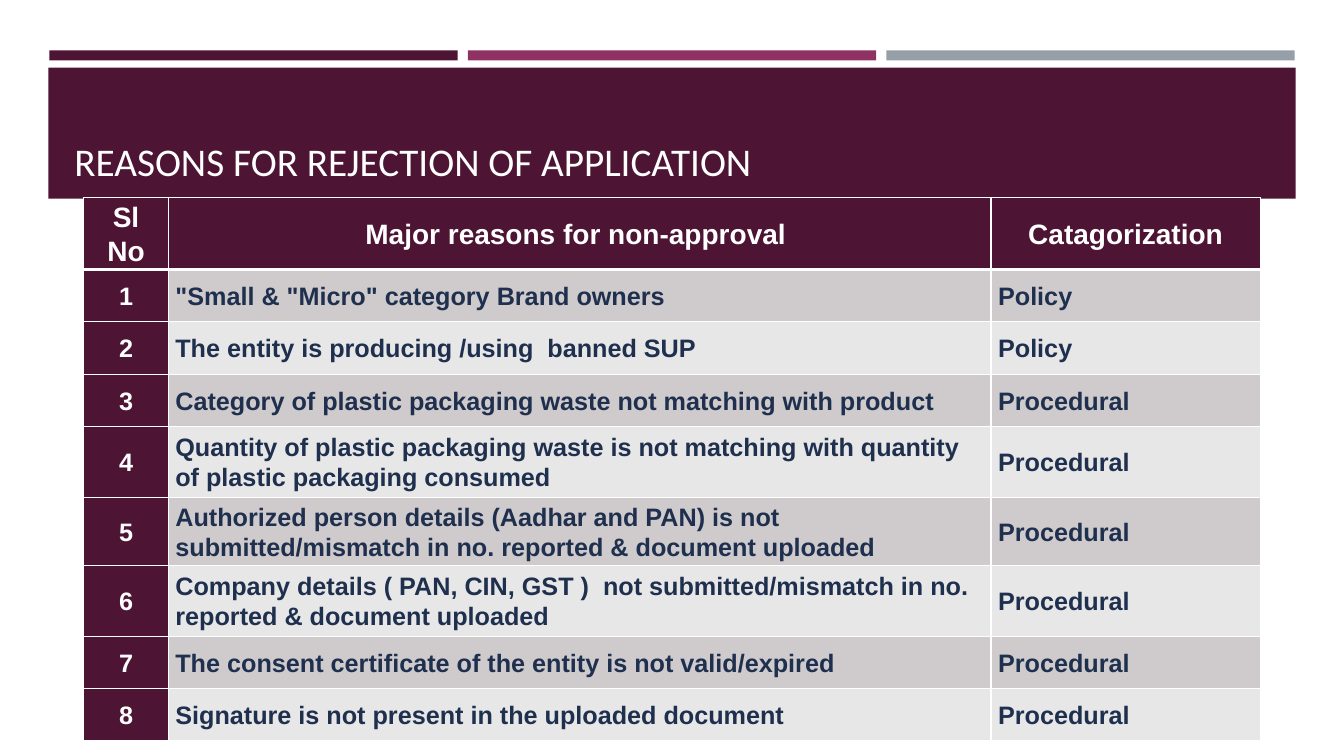
from dataclasses import dataclass

from lxml.etree import SubElement
from pptx import Presentation
from pptx.dml.color import RGBColor as Color
from pptx.enum.shapes import MSO_SHAPE as Shape
from pptx.enum.text import MSO_ANCHOR as Anchor, PP_ALIGN as Align
from pptx.oxml.ns import qn
from pptx.util import Inches, Pt


@dataclass(frozen=True)
class Theme:
    plum: str = "4D1434"
    magenta: str = "903163"
    grey: str = "969FA7"
    white: str = "FFFFFF"
    navy: str = "1F304E"
    bands: tuple = ("CFCACC", "E8E7E7")
    title_font: str = "Calibri"
    table_font: str = "Arial"
    title_size: int = 28
    header_size: int = 20
    body_size: int = 18


THEME = Theme()

HEADERS = ("Sl No", "Major reasons for non-approval ", "Catagorization")
REASONS = (
    ('"Small & "Micro" category Brand owners', "Policy"),
    ("The entity is producing /using  banned SUP", "Policy"),
    ("Category of plastic packaging waste not matching with product", "Procedural"),
    ("Quantity of plastic packaging waste is not matching with quantity "
     "of plastic packaging consumed", "Procedural"),
    ("Authorized person details (Aadhar and PAN) is not submitted/mismatch "
     "in no. reported & document uploaded", "Procedural"),
    ("Company details ( PAN, CIN, GST )  not submitted/mismatch in no. "
     "reported & document uploaded", "Procedural"),
    ("The consent certificate of the entity is not valid/expired", "Procedural"),
    ("Signature is not present in the uploaded document", "Procedural"),
)
COLUMN_WIDTHS = (0.84, 8.16, 2.67)
ROW_HEIGHTS = (0.52, 0.52, 0.52, 0.52, 0.7, 0.68, 0.7, 0.52, 0.52)


def add_bar(page, left, top, width, height, color):
    bar = page.shapes.add_shape(
        Shape.RECTANGLE, Inches(left), Inches(top), Inches(width), Inches(height))
    bar.shadow.inherit = False
    bar.fill.solid()
    bar.fill.fore_color.rgb = Color.from_string(color)
    bar.line.fill.background()


def add_span(para, text, font, size, color, bold=False):
    span = para.add_run()
    span.text = text
    span.font.name = font
    span.font.size = Pt(size)
    span.font.bold = bold
    span.font.color.rgb = Color.from_string(color)


def add_title(page, text):
    box = page.shapes.add_textbox(Inches(0.64), Inches(0.77), Inches(12.06), Inches(1.11))
    frame = box.text_frame
    frame.word_wrap = True
    frame.vertical_anchor = Anchor.BOTTOM
    add_span(frame.paragraphs[0], text, THEME.title_font, THEME.title_size, THEME.white)


def set_borders(cell, top, bottom):
    properties = cell._tc.get_or_add_tcPr()
    for side, width in (("L", 1), ("R", 1), ("T", top), ("B", bottom)):
        line = SubElement(properties, qn(f"a:ln{side}"), w=str(Pt(width)))
        fill = SubElement(line, qn("a:solidFill"))
        SubElement(fill, qn("a:srgbClr"), val=THEME.white)


def fill_cell(cell, text, row, column):
    is_header = row == 0
    is_dark = is_header or column == 0
    # Borders come before the fill in the cell properties
    set_borders(cell, top=3 if row == 1 else 1, bottom=3 if is_header else 1)
    cell.fill.solid()
    cell.fill.fore_color.rgb = Color.from_string(
        THEME.plum if is_dark else THEME.bands[(row - 1) % 2])
    cell.margin_left = cell.margin_right = Inches(0.07)
    cell.margin_top = cell.margin_bottom = 0
    cell.vertical_anchor = Anchor.MIDDLE
    para = cell.text_frame.paragraphs[0]
    para.alignment = Align.CENTER if is_dark else Align.LEFT
    para.line_spacing = 1.07
    add_span(para, text, THEME.table_font,
             THEME.header_size if is_header else THEME.body_size,
             THEME.white if is_dark else THEME.navy, bold=True)


def add_reason_table(page):
    rows = [HEADERS] + [(str(number), *reason) for number, reason in enumerate(REASONS, 1)]
    table = page.shapes.add_table(
        len(rows), len(HEADERS), Inches(0.83), Inches(1.96),
        Inches(sum(COLUMN_WIDTHS)), Inches(sum(ROW_HEIGHTS))).table
    for column, width in zip(table.columns, COLUMN_WIDTHS):
        column.width = Inches(width)
    for row, height in zip(table.rows, ROW_HEIGHTS):
        row.height = Inches(height)
    for row, texts in enumerate(rows):
        for column, text in enumerate(texts):
            fill_cell(table.cell(row, column), text, row, column)


def main():
    deck = Presentation()
    deck.slide_width, deck.slide_height = Inches(13.33), Inches(7.5)
    page = deck.slides.add_slide(deck.slide_layouts[6])

    # Accent bars and title band
    for index, color in enumerate((THEME.plum, THEME.magenta, THEME.grey)):
        add_bar(page, 0.49 + index * 4.15, 0.5, 4.05, 0.1, color)
    add_bar(page, 0.48, 0.67, 12.37, 1.3, THEME.plum)
    add_title(page, "REASONS FOR REJECTION OF APPLICATION")

    # Reasons table
    add_reason_table(page)
    deck.save("out.pptx")


if __name__ == "__main__":
    main()
